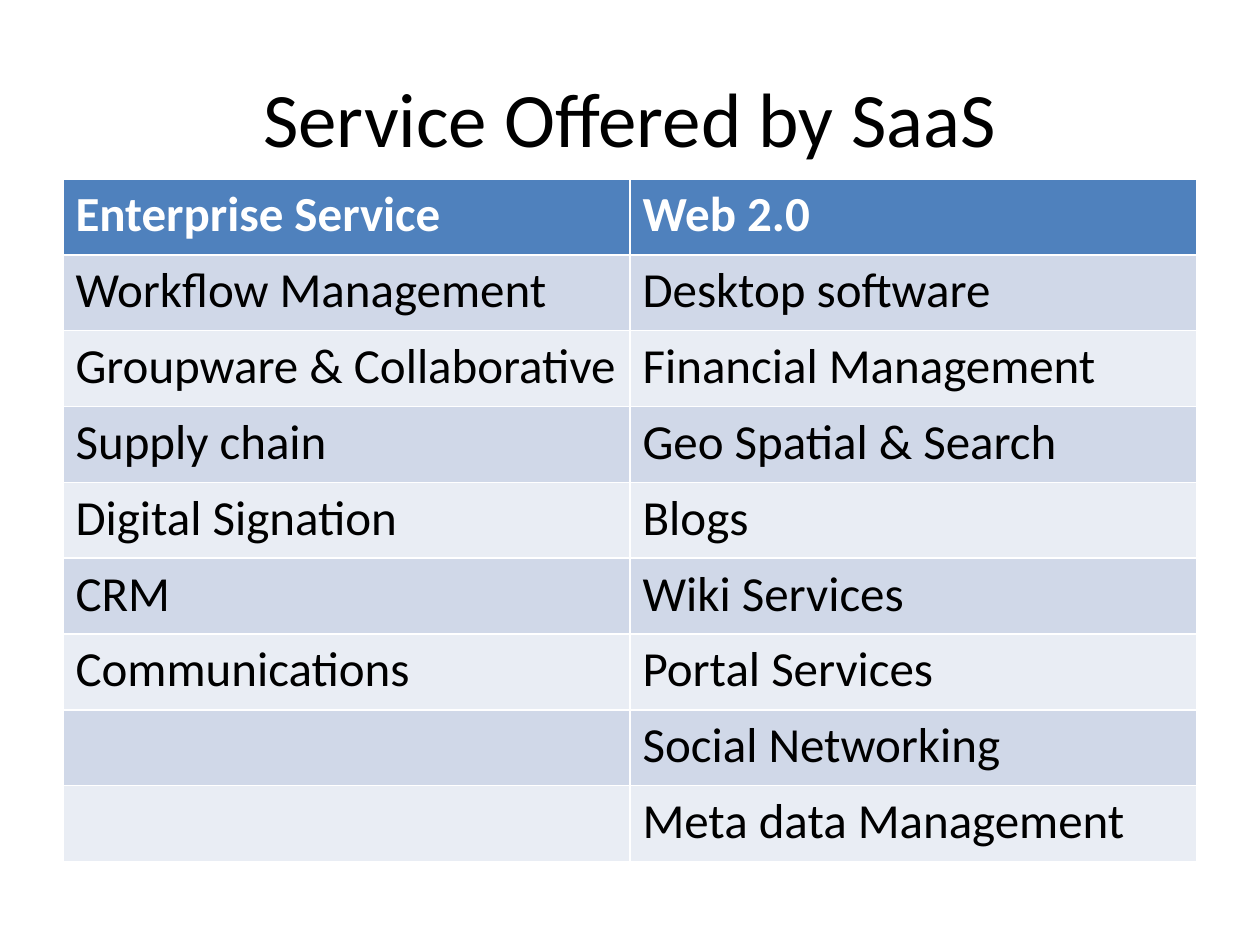
from pptx import Presentation
from pptx.dml.color import RGBColor
from pptx.enum.text import MSO_ANCHOR, PP_ALIGN
from pptx.util import Inches, Pt

MIDDLE = MSO_ANCHOR.MIDDLE
CENTER = PP_ALIGN.CENTER

TITLE = "Service Offered by SaaS"
ROWS = [
    ("Enterprise Service", "Web 2.0"),
    ("Workflow Management", "Desktop software"),
    ("Groupware & Collaborative", "Financial Management"),
    ("Supply chain", "Geo Spatial & Search"),
    ("Digital Signation", "Blogs"),
    ("CRM", "Wiki Services"),
    ("Communications", "Portal Services"),
    ("", "Social Networking"),
    ("", "Meta data Management"),
]

FONT = "Calibri"
BLACK = RGBColor(0x00, 0x00, 0x00)
WHITE = RGBColor(0xFF, 0xFF, 0xFF)
HEADER = RGBColor(0x4F, 0x81, 0xBD)
BANDS = [RGBColor(0xE9, 0xED, 0xF4), RGBColor(0xD0, 0xD8, 0xE8)]

LEFT, WIDTH = 0.5, 9
TABLE_TOP, TABLE_HEIGHT = 1.42, 5.42


def set_font(p, size, color, bold=False):
    p.font.name = FONT
    p.font.size = Pt(size)
    p.font.bold = bold
    p.font.color.rgb = color


def add_title(slide):
    title = slide.shapes.title
    title.left, title.top = Inches(LEFT), Inches(0.3)
    title.width, title.height = Inches(WIDTH), Inches(1.25)
    tf = title.text_frame
    tf.text = TITLE
    tf.vertical_anchor = MIDDLE
    p = tf.paragraphs[0]
    p.alignment = CENTER
    set_font(p, 44, BLACK)


def add_services(slide):
    table = slide.shapes.add_table(
        len(ROWS), len(ROWS[0]), Inches(LEFT), Inches(TABLE_TOP),
        Inches(WIDTH), Inches(TABLE_HEIGHT)).table
    for i, row in enumerate(ROWS):
        is_header = i == 0
        for j, text in enumerate(row):
            cell = table.cell(i, j)
            cell.fill.solid()
            cell.fill.fore_color.rgb = HEADER if is_header else BANDS[i % 2]
            if text:
                cell.text = text
                set_font(cell.text_frame.paragraphs[0], 28,
                         WHITE if is_header else BLACK, is_header)


def main():
    prs = Presentation()
    prs.slide_width, prs.slide_height = Inches(10), Inches(7.5)
    slide = prs.slides.add_slide(prs.slide_layouts[5])
    add_title(slide)
    add_services(slide)
    prs.save("out.pptx")


if __name__ == "__main__":
    main()
